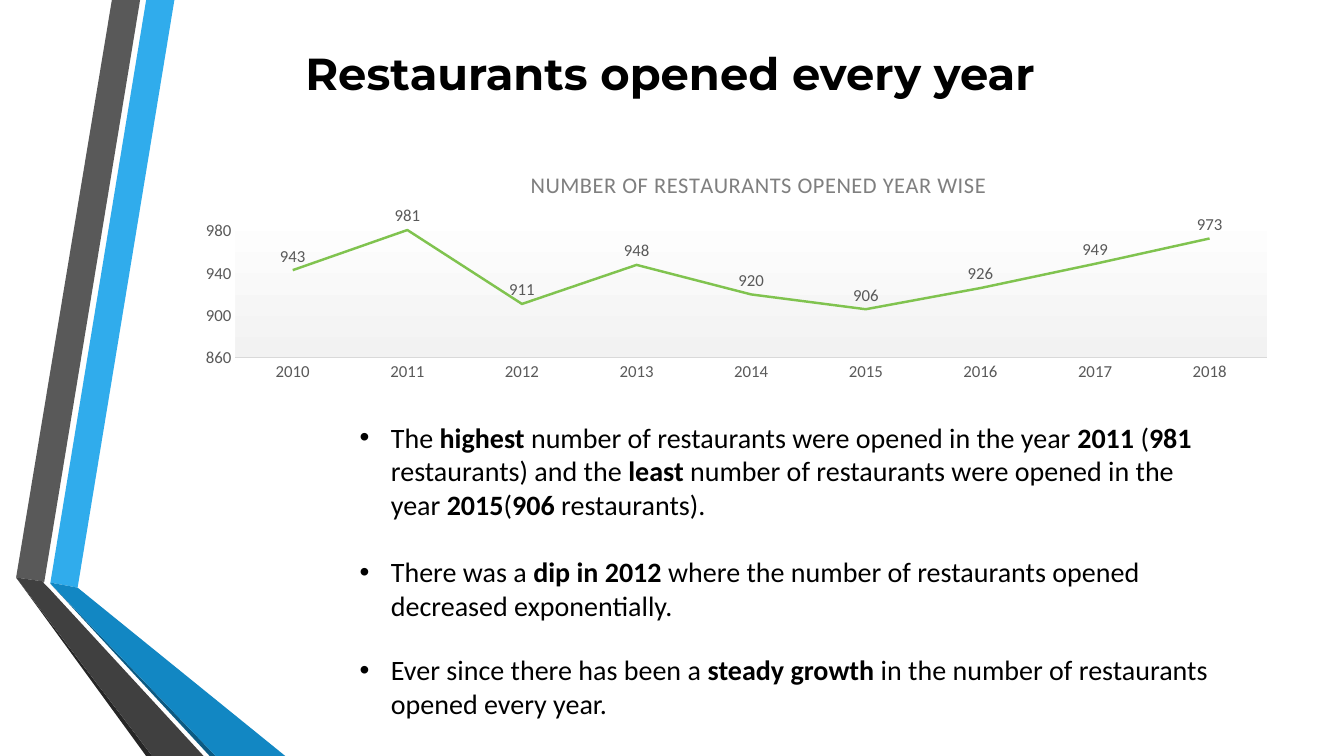
from lxml.etree import SubElement
from pptx import Presentation
from pptx.chart.data import CategoryChartData
from pptx.dml.color import RGBColor
from pptx.enum.chart import XL_CHART_TYPE, XL_LABEL_POSITION, XL_TICK_MARK
from pptx.enum.text import MSO_ANCHOR, MSO_AUTO_SIZE, PP_ALIGN
from pptx.oxml import parse_xml
from pptx.oxml.ns import nsdecls, qn
from pptx.util import Inches, Pt

BLACK = RGBColor(0x00, 0x00, 0x00)
LABEL_GRAY = RGBColor(0x59, 0x59, 0x59)
TITLE_GRAY = RGBColor(0x7F, 0x7F, 0x7F)
AXIS_GRAY = RGBColor(0xD9, 0xD9, 0xD9)
GREEN = RGBColor(0x80, 0xC3, 0x4F)
LIGHT_BLUE = RGBColor(0x30, 0xAC, 0xEC)
BLUE = RGBColor(0x12, 0x87, 0xC3)
DEEP_BLUE = RGBColor(0x0C, 0x5A, 0x82)
DARK_GRAY = RGBColor(0x40, 0x40, 0x40)
EDGE_GRAY = RGBColor(0x26, 0x26, 0x26)

presentation = Presentation()
presentation.slide_width = Inches(13.33)
presentation.slide_height = Inches(7.5)
COLUMN = presentation.slide_width / 40
ROW = presentation.slide_height / 30
slide = presentation.slides.add_slide(presentation.slide_layouts[5])


def grid(*lengths):
    return [round(length * unit) for length, unit in zip(lengths, (COLUMN, ROW) * 2)]


def apply_format(target, values):
    for name, value in values.items():
        if name == "color":
            target.color.rgb = value
        else:
            setattr(target, name, value)


ribbons = [
    (LIGHT_BLUE, [(1.5, 23.12), (2.31, 23.32), (5.19, 0), (4.35, 0)]),
    (LABEL_GRAY, [(4.17, 0), (3.33, 0), (0.48, 22.92), (1.32, 23.08)]),
    (EDGE_GRAY, [(0.48, 22.92), (4.35, 30), (4.53, 30)]),
    (DEEP_BLUE, [(1.5, 23.16), (6.24, 30), (6.42, 30)]),
    (BLUE, [(1.5, 23.12), (1.5, 23.16), (6.42, 30), (8.49, 30), (2.31, 23.32)]),
    (DARK_GRAY, [(6.06, 30), (1.44, 23.32), (1.29, 23.12), (1.32, 23.08),
                 (0.48, 22.92), (4.53, 30)]),
]
for color, corners in ribbons:
    points = [grid(*corner) for corner in corners]
    builder = slide.shapes.build_freeform(*points[0])
    builder.add_line_segments(points[1:], close=True)
    ribbon = builder.convert_to_shape()
    ribbon.shadow.inherit = False
    ribbon.fill.solid()
    ribbon.fill.fore_color.rgb = color
    ribbon.line.fill.background()

title = slide.shapes.title
title.left, title.top, title.width, title.height = grid(2.7, 0, 34.5, 5.8)
title.text_frame.text = "Restaurants opened every year"
title.text_frame.vertical_anchor = MSO_ANCHOR.MIDDLE
title_paragraph = title.text_frame.paragraphs[0]
title_paragraph.alignment = PP_ALIGN.CENTER
apply_format(title_paragraph.runs[0].font,
             {"name": "Montserrat", "size": Pt(32), "bold": True, "color": BLACK})

findings = [
    (["The ", "highest", " number of restaurants were opened in the year ", "2011", " (",
      "981", " restaurants) and the ", "least",
      " number of restaurants were opened in the year ", "2015", "(", "906",
      " restaurants)."], 24),
    (["There was a ", "dip in 2012 ",
      "where the number of restaurants opened decreased exponentially."], 22),
    (["Ever since there has been a ", "steady growth ",
      "in the number of restaurants opened every year."], 0),
]
findings_box = slide.shapes.add_textbox(*grid(7.41, 16.48, 29.07, 13.72))
text_frame = findings_box.text_frame
apply_format(text_frame, {"word_wrap": True, "auto_size": MSO_AUTO_SIZE.SHAPE_TO_FIT_TEXT})
for index, (pieces, gap) in enumerate(findings):
    paragraph = text_frame.add_paragraph() if index else text_frame.paragraphs[0]
    apply_format(paragraph, {"level": 2, "space_after": Pt(gap)})
    properties = paragraph._p.get_or_add_pPr()
    properties.set("marL", str(Inches(1.31)))
    properties.set("indent", str(Inches(-0.31)))
    SubElement(properties, qn("a:buFont")).set("typeface", "Arial")
    SubElement(properties, qn("a:buChar")).set("char", "•")
    for position, piece in enumerate(pieces):
        run = paragraph.add_run()
        run.text = piece
        apply_format(run.font, {"name": "Calibri", "size": Pt(20),
                                "bold": position % 2 == 1, "color": BLACK})

chart_data = CategoryChartData()
chart_data.categories = [str(year) for year in range(2010, 2019)]
chart_data.add_series("Series 1", [943, 981, 911, 948, 920, 906, 926, 949, 973])
chart = slide.shapes.add_chart(
    XL_CHART_TYPE.LINE, *grid(5.46, 5.8, 32.94, 9.56), chart_data).chart
apply_format(chart, {"has_legend": False, "has_title": True})
label_format = {"name": "Calibri", "size": Pt(12), "bold": False, "color": LABEL_GRAY}
apply_format(chart.font, label_format)

chart_title = chart.chart_title
chart_title.include_in_layout = False
chart_title.text_frame.text = "NUMBER OF RESTAURANTS OPENED YEAR WISE"
chart_title_font = chart_title.text_frame.paragraphs[0].runs[0].font
apply_format(chart_title_font, {**label_format, "size": Pt(16), "color": TITLE_GRAY})
chart_title_font._element.set("spc", "50")

category_axis, value_axis = chart.category_axis, chart.value_axis
for axis in (category_axis, value_axis):
    apply_format(axis, {"major_tick_mark": XL_TICK_MARK.NONE,
                        "minor_tick_mark": XL_TICK_MARK.NONE,
                        "has_major_gridlines": False})
    apply_format(axis.tick_labels.font, label_format)
apply_format(category_axis.format.line, {"color": AXIS_GRAY, "width": Pt(0.75)})
apply_format(value_axis, {"minimum_scale": 860, "maximum_scale": 1000, "major_unit": 40})
value_axis.format.line.fill.background()

plot = chart.plots[0]
plot.vary_by_categories = False
series = plot.series[0]
series.smooth = False
apply_format(series.format.line, {"color": GREEN, "width": Pt(1.75)})
apply_format(series.data_labels, {"show_value": True, "position": XL_LABEL_POSITION.ABOVE})
apply_format(series.data_labels.font, label_format)

plot_area = chart._chartSpace.chart.plotArea
for layout in plot_area.findall(qn("c:layout")):
    plot_area.remove(layout)
plot_area.insert(0, parse_xml(
    f'<c:layout {nsdecls("c")}><c:manualLayout><c:layoutTarget val="inner"/>'
    '<c:xMode val="edge"/><c:yMode val="edge"/><c:x val="0.047"/><c:y val="0.265"/>'
    '<c:w val="0.932"/><c:h val="0.614"/></c:manualLayout></c:layout>'))
plot_area.append(parse_xml(
    f'<c:spPr {nsdecls("c", "a")}><a:gradFill><a:gsLst>'
    '<a:gs pos="0"><a:srgbClr val="FFFFFF"/></a:gs>'
    '<a:gs pos="100000"><a:srgbClr val="F2F2F2"/></a:gs>'
    '</a:gsLst><a:lin ang="5400000" scaled="0"/></a:gradFill></c:spPr>'))
title_element = chart_title._element
for layout in title_element.findall(qn("c:layout")):
    title_element.remove(layout)
title_element.find(qn("c:tx")).addnext(parse_xml(
    f'<c:layout {nsdecls("c")}><c:manualLayout><c:xMode val="edge"/><c:yMode val="edge"/>'
    '<c:x val="0.31"/><c:y val="0.08"/></c:manualLayout></c:layout>'))

presentation.save("out.pptx")
